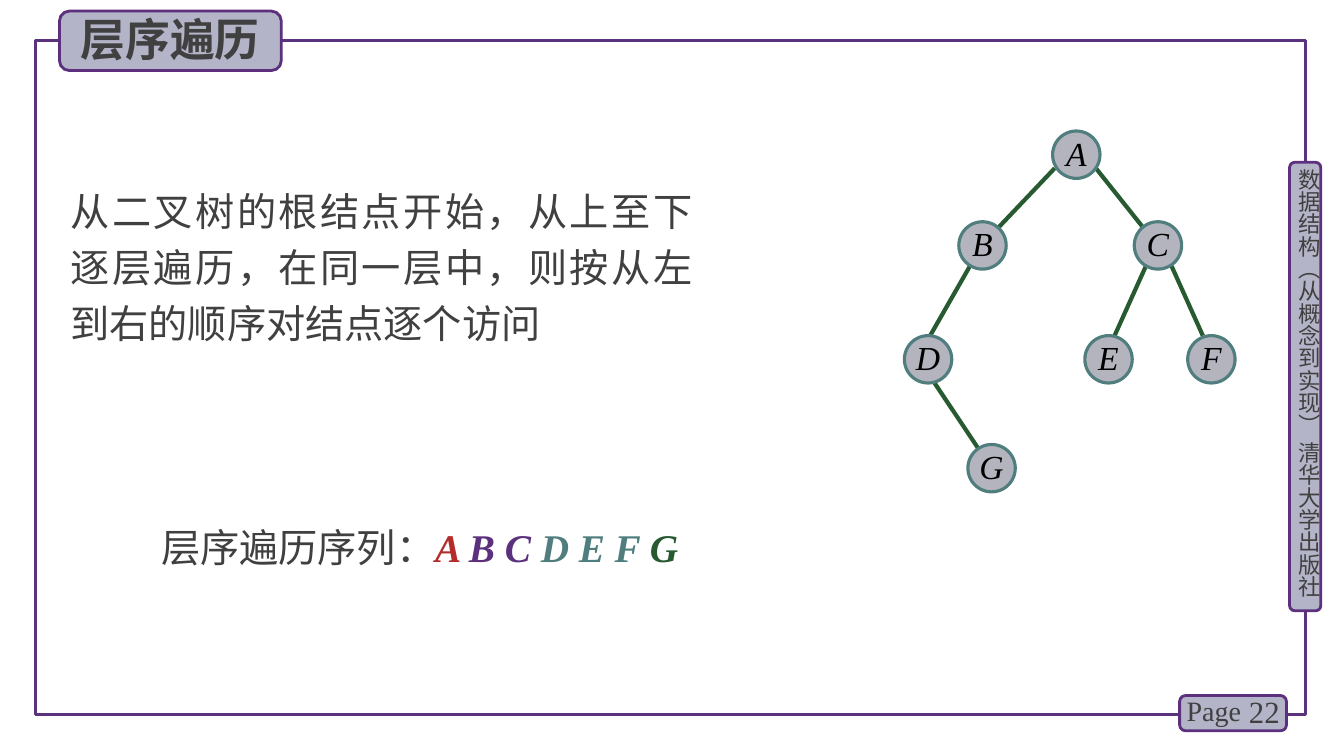
import pptx
import pptx.util
import pptx.dml.color
import pptx.enum.shapes
import pptx.enum.text
import pptx.oxml

PX = 9144
SHAPE = pptx.enum.shapes.MSO_SHAPE
ALIGN = pptx.enum.text.PP_ALIGN
ANCHOR = pptx.enum.text.MSO_ANCHOR
SANS, SERIF = "Noto Sans CJK SC", "Times New Roman"
INK, PURPLE, LILAC = "404040", "5C307D", "B4B4C8"
TEAL, GREEN, RED = "507D7D", "285A32", "B42D2D"

NODES = {
    "A": (147, 0), "B": (54, 90), "C": (228, 90), "D": (0, 203),
    "E": (179, 203), "F": (281, 203), "G": (63, 311),
}
EDGES = [
    (149, 37, 93, 96), (190, 37, 237, 96), (65, 134, 25, 204),
    (30, 250, 74, 316), (240, 133, 208, 204), (265, 134, 296, 203),
]


def px(*lengths):
    return [pptx.util.Emu(n * PX) for n in lengths]


def color(value):
    return pptx.dml.color.RGBColor.from_string(value)


def add_run(p, text, size, font, ink, bold=False, italic=False):
    r = p.add_run()
    r.text = text
    r.font.size = pptx.util.Pt(size)
    r.font.name = font
    r.font.bold = bold
    r.font.italic = italic
    r.font.color.rgb = color(ink)
    ea = pptx.oxml.parse_xml(
        '<a:ea xmlns:a="http://schemas.openxmlformats.org/drawingml/2006/main"'
        f' typeface="{font}"/>')
    r.font._element.find(pptx.oxml.ns.qn("a:latin")).addnext(ea)


def set_margins(tf, x, y):
    tf.margin_left, tf.margin_right, tf.margin_top, tf.margin_bottom = px(x, x, y, y)


def add_text(s, box, runs, align=ALIGN.LEFT, spacing=None, margins=(10, 5), grow=True):
    tb = s.shapes.add_textbox(*px(*box))
    tf = tb.text_frame
    tf.word_wrap = True
    set_margins(tf, *margins)
    if grow:
        tf.auto_size = pptx.enum.text.MSO_AUTO_SIZE.SHAPE_TO_FIT_TEXT
    p = tf.paragraphs[0]
    p.alignment = align
    if spacing:
        p.line_spacing = pptx.util.Pt(spacing)
    for run in runs:
        add_run(p, *run)
    return tb


def add_outline(s, kind, box, fill, line, width):
    sp = s.shapes.add_shape(kind, *px(*box))
    sp.shadow.inherit = False
    if fill:
        sp.fill.solid()
        sp.fill.fore_color.rgb = color(fill)
    else:
        sp.fill.background()
    sp.line.color.rgb = color(line)
    sp.line.width = pptx.util.Pt(width)
    return sp


def add_tab(s, box):
    return add_outline(s, SHAPE.ROUNDED_RECTANGLE, box, LILAC, PURPLE, 2)


def side_tab(s, x, y, w, h):
    add_tab(s, (x, y, w, h))
    tb = add_text(s, (x + 6, y + 6, w - 4, h + 4),
                  [("数据结构（从概念到实现） 清华大学出版社", 16, SANS, INK)], margins=(0, 0))
    tb.text_frame._txBody.bodyPr.set("vert", "eaVert")


def page_tab(s, x, y, w, h, number):
    add_tab(s, (x, y, w, h))
    tb = add_text(s, (x + 50, y - 4, 59, h + 5), [(number, 22, SERIF, INK)],
                  ALIGN.RIGHT, grow=False)
    tb.text_frame.vertical_anchor = ANCHOR.MIDDLE
    add_text(s, (x - 3, y - 7, 78, h + 9), [("Page", 20, SERIF, INK)])


def title_tab(s, x, y, w, h, title):
    add_tab(s, (x, y, w, h))
    add_text(s, (x + 11, y - 4, w - 8, h + 5), [(title, 32, SANS, INK, True)])


def definition(s, x, y, w, h):
    text = "从二叉树的根结点开始，从上至下逐层遍历，在同一层中，则按从左到右的顺序对结点逐个访问"
    add_text(s, (x, y, w, h), [(text, 28, SANS, INK)], ALIGN.JUSTIFY, 40, (0, 5))


def tree(s, x, y, size):
    for x1, y1, x2, y2 in EDGES:
        edge = s.shapes.add_connector(pptx.enum.shapes.MSO_CONNECTOR.STRAIGHT,
                                      *px(x + x1, y + y1, x + x2, y + y2))
        edge.line.color.rgb = color(GREEN)
        edge.line.width = pptx.util.Pt(3)
        pptx.oxml.xmlchemy.OxmlElement
        edge._element.spPr.append(pptx.oxml.xmlchemy.OxmlElement("a:effectLst"))
    for name, (dx, dy) in NODES.items():
        sp = add_outline(s, SHAPE.OVAL, (x + dx, y + dy, size, size), "B4B4BE", TEAL, 2.25)
        tf = sp.text_frame
        set_margins(tf, 0, 0)
        tf.vertical_anchor = ANCHOR.TOP
        p = tf.paragraphs[0]
        p.alignment = ALIGN.CENTER
        p.line_spacing = pptx.util.Pt(25)
        add_run(p, name, 24, SERIF, "000000", italic=True)


def sequence(s, x, y, w, h):
    levels = [("A ", RED), ("B C ", PURPLE), ("D E F ", TEAL), ("G", GREEN)]
    runs = [("层序遍历序列：", 28, SANS, INK)]
    runs += [(text, 28, SERIF, ink, True, True) for text, ink in levels]
    add_text(s, (x, y, w, h), runs, ALIGN.JUSTIFY)


def main():
    prs = pptx.Presentation()
    prs.slide_width, prs.slide_height = px(1333, 750)
    s = prs.slides.add_slide(prs.slide_layouts[6])
    add_outline(s, SHAPE.RECTANGLE, (35, 40, 1260, 669), None, "5A327D", 2.25)
    side_tab(s, 1279, 161, 31, 445)
    page_tab(s, 1170, 690, 106, 35, "22")
    title_tab(s, 59, 11, 220, 59, "层序遍历")
    definition(s, 70, 172, 617, 174)
    tree(s, 897, 130, 47)
    sequence(s, 150, 514, 560, 57)
    prs.save("out.pptx")


if __name__ == "__main__":
    main()
